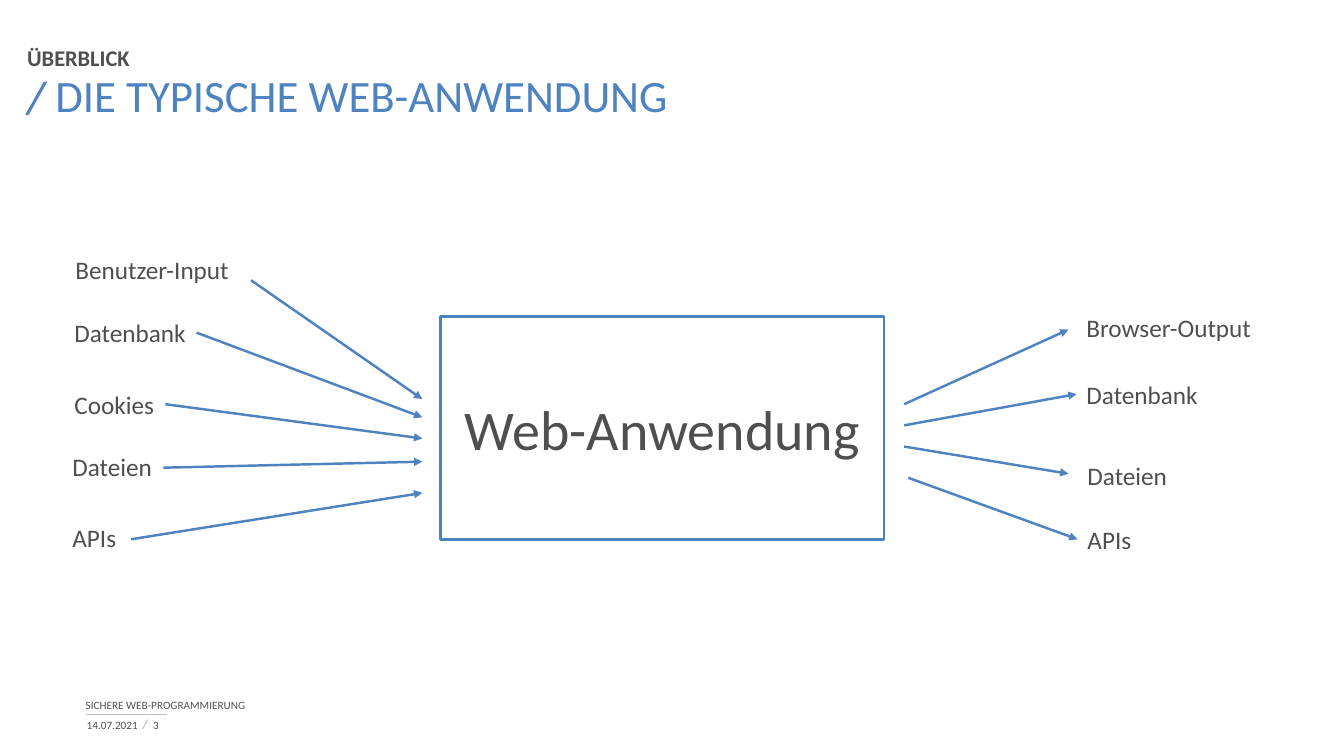
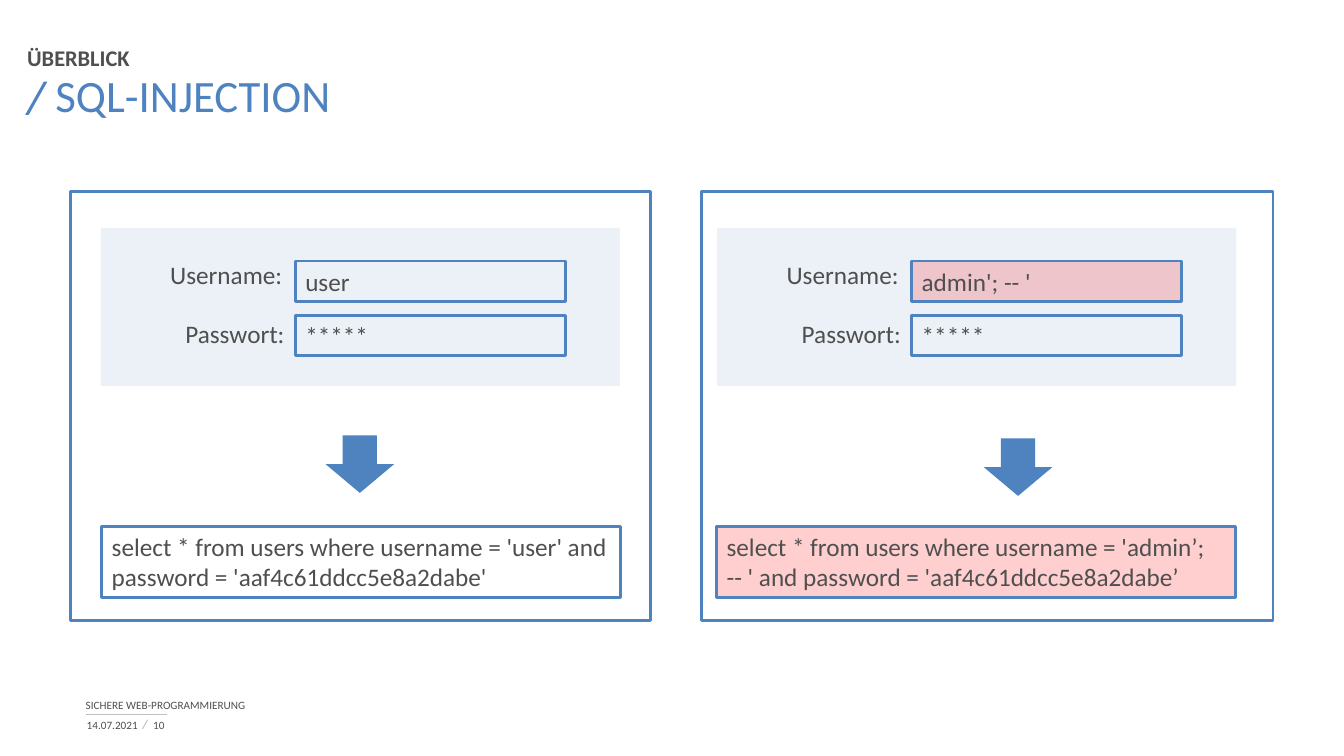
from dataclasses import dataclass
from typing import Optional

from lxml.etree import SubElement
from pptx import Presentation
from pptx.dml.color import RGBColor
from pptx.enum.shapes import MSO_CONNECTOR, MSO_SHAPE
from pptx.enum.text import MSO_ANCHOR, PP_ALIGN
from pptx.oxml.ns import qn
from pptx.util import Inches, Pt


@dataclass(frozen=True)
class Theme:
    font: str = "Calibri"
    ink: str = "4F4F4F"
    blue: str = "4E83BF"
    grey: str = "BFBFBF"
    white: str = "FFFFFF"
    red: str = "FF0000"
    small: int = 8
    kicker: int = 16
    body: int = 18
    title: int = 32
    hero: int = 40
    title_leading: int = 36
    hairline: float = 0.5
    arrow: float = 1.75
    border: float = 2


THEME = Theme()
CELL = Inches(0.1)  # square grid cell; every length below counts cells
COLUMNS, ROWS = 133.33, 75
LABEL_HEIGHT = 4
Point = tuple[float, float]


@dataclass(frozen=True)
class Box:
    left: float
    top: float
    width: float
    height: float

    def emu(self) -> list[int]:
        return [cells(n) for n in (self.left, self.top, self.width, self.height)]


@dataclass(frozen=True)
class Fill:
    color: str
    opacity: int = 100


@dataclass(frozen=True)
class Flow:
    """A labelled source or target with its arrow."""
    label: str
    left: float
    top: float
    width: float
    start: Point
    end: Point


@dataclass(frozen=True)
class LoginCase:
    frame_left: float
    frame_width: float
    form_left: float
    query_left: float
    arrow: Point
    username: str
    query: str
    field_fill: Optional[Fill] = None
    query_fill: Optional[Fill] = None


INPUT_EDGE, OUTPUT_EDGE = 41.9, 89.7
FLOWS = [
    Flow("Benutzer-Input", 6.5, 24.7, 17.5, (24.9, 27.8), (INPUT_EDGE, 39.6)),
    Flow("Datenbank", 6.4, 31, 13.2, (19.5, 33), (INPUT_EDGE, 41.4)),
    Flow("Cookies", 6.4, 38.1, 10, (16.4, 40.1), (INPUT_EDGE, 43.5)),
    Flow("Dateien", 6.2, 44.3, 10, (16.2, 46.4), (INPUT_EDGE, 45.8)),
    Flow("APIs", 6.2, 51.3, 6.4, (13, 53.5), (INPUT_EDGE, 48.9)),
    Flow("Browser-Output", 106.8, 30.5, 18.6, (OUTPUT_EDGE, 40.1), (106, 32.7)),
    Flow("Datenbank", 106.8, 37.1, 13.2, (OUTPUT_EDGE, 42.2), (106.8, 39.1)),
    Flow("Dateien", 106.9, 45.2, 10, (OUTPUT_EDGE, 44.3), (106, 47)),
    Flow("APIs", 106.9, 51.5, 6.4, (90.1, 47.4), (106.9, 53.5)),
]

LOGIN_CASES = [
    LoginCase(7, 57.5, 10, 10.1, (32.3, 43.2), "user",
              "select * from users where username = 'user' and "
              "password = 'aaf4c61ddcc5e8a2dabe'"),
    LoginCase(69.6, 56.7, 71.15, 71.1, (97.6, 43.5), "admin'; -- '",
              "select * from users where username = 'admin’; "
              "-- ' and password = 'aaf4c61ddcc5e8a2dabe’",
              Fill(THEME.red, 18), Fill(THEME.red, 19)),
]


def cells(count: float) -> int:
    return round(count * CELL)


def paint(shape, fill: Optional[Fill], border: Optional[float] = None) -> None:
    shape.shadow.inherit = False
    if fill is None:
        shape.fill.background()
    else:
        shape.fill.solid()
        shape.fill.fore_color.rgb = RGBColor.from_string(fill.color)
        if fill.opacity < 100:
            color = shape.fill._xPr.find(".//" + qn("a:srgbClr"))
            SubElement(color, qn("a:alpha"), val=str(fill.opacity * 1000))
    if border is None:
        shape.line.fill.background()
    else:
        shape.line.color.rgb = RGBColor.from_string(THEME.blue)
        shape.line.width = Pt(border)


def write(shape, text: str, size: int, color: str = THEME.ink, bold: bool = False,
          align=PP_ALIGN.LEFT, anchor=MSO_ANCHOR.TOP, wrap: bool = True):
    frame = shape.text_frame
    frame.text = text
    frame.word_wrap = wrap
    frame.vertical_anchor = anchor
    paragraph = frame.paragraphs[0]
    paragraph.alignment = align
    span = paragraph.runs[0]
    span.font.name = THEME.font
    span.font.size = Pt(size)
    span.font.bold = bold
    span.font.color.rgb = RGBColor.from_string(color)
    return paragraph


def add_rectangle(shapes, box: Box, fill: Optional[Fill] = None,
                  border: Optional[float] = THEME.border):
    shape = shapes.add_shape(MSO_SHAPE.RECTANGLE, *box.emu())
    paint(shape, fill, border)
    return shape


def add_label(shapes, text: str, left: float, top: float, width: float) -> None:
    box = Box(left, top, width, LABEL_HEIGHT)
    write(shapes.add_textbox(*box.emu()), text, THEME.body, wrap=False)


def add_flush_text(shapes, box: Box, text: str, size: int, **style):
    """Add text that starts exactly at the edge of its box."""
    shape = shapes.add_textbox(*box.emu())
    frame = shape.text_frame
    frame.margin_left = frame.margin_right = frame.margin_top = frame.margin_bottom = 0
    return write(shape, text, size, **style)


def add_line(shapes, start: Point, end: Point, color: str, width: float,
             arrowhead: bool = False) -> None:
    line = shapes.add_connector(MSO_CONNECTOR.STRAIGHT,
                                *(cells(n) for n in (*start, *end)))
    line.line.color.rgb = RGBColor.from_string(color)
    line.line.width = Pt(width)
    if arrowhead:
        SubElement(line.line._get_or_add_ln(), qn("a:tailEnd"), type="triangle")
    SubElement(line._element.spPr, qn("a:effectLst"))


def add_slash(shapes, box: Box, stroke: float, color: str) -> None:
    right, bottom = box.left + box.width, box.top + box.height
    corners = [(box.left, bottom), (right - stroke, box.top),
               (right, box.top), (box.left + stroke, bottom)]
    first, *others = [(cells(x), cells(y)) for x, y in corners]
    builder = shapes.build_freeform(*first)
    builder.add_line_segments(others, close=True)
    paint(builder.convert_to_shape(), Fill(color))


def add_base_slide(deck, title: str, number: int):
    """Add a blank slide with the shared heading and footer."""
    slide = deck.slides.add_slide(deck.slide_layouts[6])
    shapes = slide.shapes
    add_line(shapes, (8.5, 70.9), (16.6, 70.9), THEME.grey, THEME.hairline)
    add_slash(shapes, Box(2.5, 8.1, 2.2, 3.3), 0.35, THEME.blue)
    add_slash(shapes, Box(14.1, 71.4, 0.6, 0.9), 0.1, THEME.grey)
    add_flush_text(shapes, Box(2.7, 4.2, 107.4, 2.8), "ÜBERBLICK", THEME.kicker,
                   bold=True, anchor=MSO_ANCHOR.BOTTOM)
    heading = add_flush_text(shapes, Box(2.5, 7.1, 128, 9.5), title, THEME.title,
                             color=THEME.blue)
    heading.line_spacing = Pt(THEME.title_leading)
    heading._p.get_or_add_pPr().set("indent", str(cells(3)))
    add_flush_text(shapes, Box(8.5, 69.4, 78, 1.2), "SICHERE WEB-PROGRAMMIERUNG",
                   THEME.small, anchor=MSO_ANCHOR.BOTTOM)
    for left, width, text in ((8.6, 5.2, "14.07.2021"), (15.2, 2.2, str(number))):
        add_flush_text(shapes, Box(left, 71.3, width, 1.2), text, THEME.small,
                       anchor=MSO_ANCHOR.MIDDLE)
    return slide


def build_overview(deck) -> None:
    shapes = add_base_slide(deck, "DIE TYPISCHE WEB-ANWENDUNG", 3).shapes
    application = add_rectangle(shapes, Box(43.7, 31.4, 44, 22.1), Fill(THEME.white))
    write(application, "Web-Anwendung", THEME.hero, align=PP_ALIGN.CENTER,
          anchor=MSO_ANCHOR.MIDDLE)
    for flow in FLOWS:
        add_label(shapes, flow.label, flow.left, flow.top, flow.width)
        add_line(shapes, flow.start, flow.end, THEME.blue, THEME.arrow, arrowhead=True)


def add_login_form(shapes, case: LoginCase) -> None:
    form = shapes.add_group_shape().shapes
    left = case.form_left
    add_rectangle(form, Box(left, 22.6, 51.5, 15.7), Fill(THEME.blue, 11), border=None)
    add_label(form, "Username:", left + 5.9, 25.2, 13.3)
    add_label(form, "Passwort:", left + 7.4, 31.1, 11.9)
    for top, text, fill in ((25.9, case.username, case.field_fill),
                            (31.3, "*****", None)):
        field = add_rectangle(form, Box(left + 19.3, top, 26.8, LABEL_HEIGHT), fill)
        write(field, text, THEME.body)


def build_injection(deck) -> None:
    shapes = add_base_slide(deck, "SQL-INJECTION", 10).shapes
    for case in LOGIN_CASES:
        add_login_form(shapes, case)
        query = add_rectangle(shapes, Box(case.query_left, 52.2, 51.5, 7.1),
                              case.query_fill)
        write(query, case.query, THEME.body)
        add_rectangle(shapes, Box(case.frame_left, 19, case.frame_width, 42.6))
        arrow = shapes.add_shape(MSO_SHAPE.DOWN_ARROW, *Box(*case.arrow, 6.8, 5.7).emu())
        paint(arrow, Fill(THEME.blue))


def main() -> None:
    deck = Presentation()
    deck.slide_width, deck.slide_height = cells(COLUMNS), cells(ROWS)
    build_overview(deck)
    build_injection(deck)
    deck.save("out.pptx")


if __name__ == "__main__":
    main()
